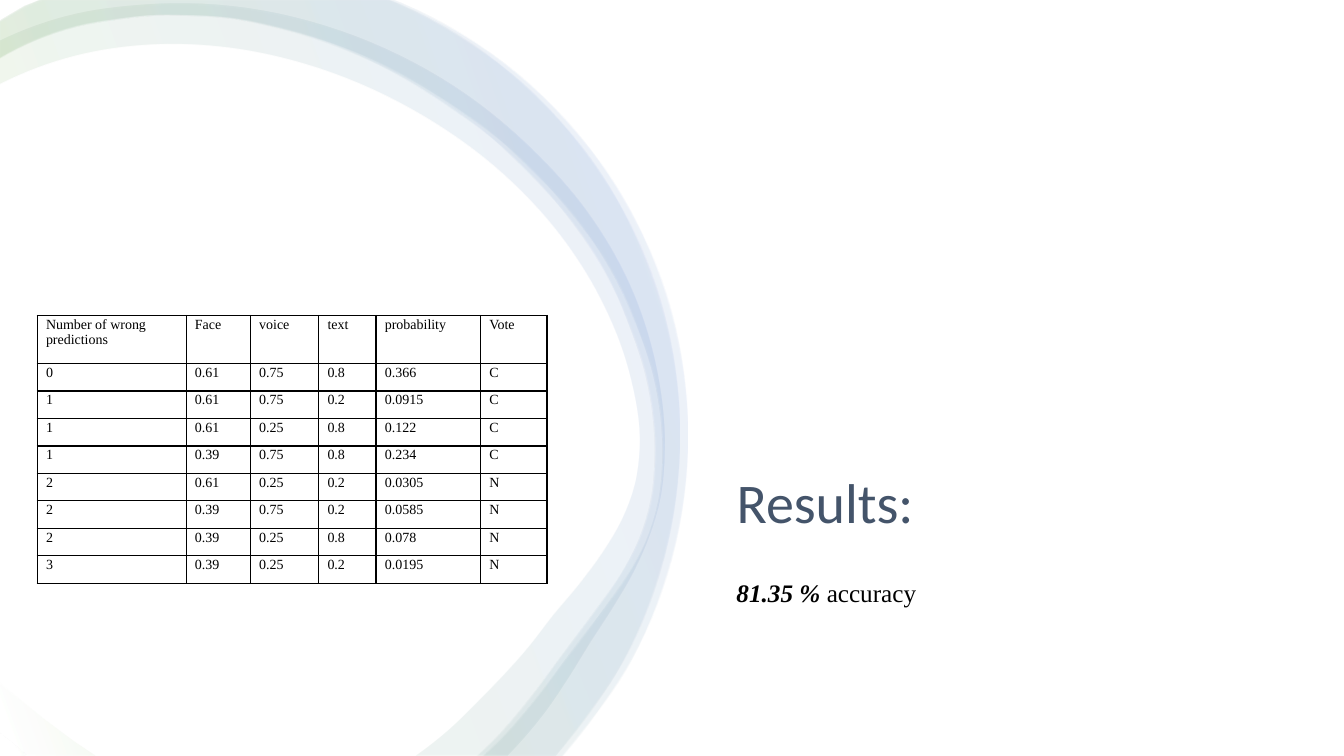
from dataclasses import dataclass, replace
from math import dist

from lxml.etree import Element, SubElement
from pptx import Presentation
from pptx.dml.color import RGBColor
from pptx.enum.text import MSO_ANCHOR, MSO_AUTO_SIZE, PP_ALIGN
from pptx.oxml.ns import qn
from pptx.util import Pt

BLACK = RGBColor(0x00, 0x00, 0x00)
WHITE = RGBColor(0xFF, 0xFF, 0xFF)
SLATE = RGBColor(0x44, 0x54, 0x6A)
GREEN = RGBColor(0x70, 0xAD, 0x47)
BLUE = RGBColor(0x44, 0x72, 0xC4)
SERIF = "Times New Roman"

GRADIENT_STOPS = [(2, WHITE), (16, GREEN), (85, BLUE), (100, WHITE)]
GRADIENT_OPACITY = 10

Points = list[tuple[float, float]]


@dataclass(frozen=True)
class Ribbon:
    """A ring band cut by the slide edge, with a wedge in the lower left corner."""
    wedge: Points
    inner: Points
    outer: Points
    top: Points

    def stretched(self, factor: float, rise: float) -> "Ribbon":
        def move(points: Points) -> Points:
            return [(x * factor, y - rise) for x, y in points]
        return replace(self, wedge=move(self.wedge), inner=move(self.inner),
                       outer=move(self.outer), top=move(self.top))


HALO = Ribbon(
    wedge=[(0, 487.4), (0, 539.3), (68.4, 539.3), (53.3, 529.2), (31, 512.6), (8.6, 494.6)],
    inner=[(0, 60.5), (54, 40.3), (108, 32.4), (163.4, 34.6), (217.4, 46.1), (293.4, 78.2),
           (360.7, 126), (398.9, 167), (428.4, 213.1), (448.6, 264.2), (456.5, 319.7),
           (452.9, 346.3), (443.5, 371.5), (429.8, 394.6), (413.3, 416.9), (394.6, 439.2),
           (377.3, 461.5), (339.8, 501.8), (320.4, 520.6), (296.6, 539.3)],
    outer=[(362.2, 539.3), (389.5, 507.6), (406.1, 483.1), (421.2, 458.6), (437, 434.2),
           (452.2, 408.2), (464.4, 380.2), (470.9, 357.8), (474.5, 319.7), (468, 259.9),
           (449.3, 203), (419, 151.3), (379.4, 106.6), (333.4, 68.4), (253.9, 26.5),
           (166.3, 5), (121.7, 2.9), (106.6, 3.6), (46.8, 12.2), (0, 29.5)],
    top=[],
)
RING = Ribbon(
    wedge=[(0, 523.4), (0, 540), (20.2, 540), (10.8, 532.1)],
    inner=[(0, 42.5), (55.4, 19.4), (83.5, 14.4), (112.3, 11.5), (124.6, 11.5), (169.2, 14.4),
           (196.6, 20.2), (224.6, 28.1), (251.3, 38.2), (277.2, 50.4), (326.2, 80.6),
           (344.2, 93.6), (371.5, 118.1), (410.4, 162), (427, 186.5), (440.6, 212.4),
           (448.6, 231.8), (460.8, 268.6), (467.3, 328.3), (464.4, 357.8), (455.8, 385.9),
           (442.1, 411.8), (424.8, 436.3), (397.4, 473), (380.9, 495.4), (350.6, 530.6),
           (340.6, 540)],
    outer=[(396.7, 540), (421.9, 507.7), (439.9, 481), (473.7, 399.3), (485.3, 311.8),
           (470.4, 212.1), (428.8, 124.4), (365, 53.2), (283.7, 2.9)],
    top=[(276.5, 0), (30.2, 0), (18, 5), (0, 15.8)],
)
RIBBONS = [HALO, RING, RING.stretched(1.012, 0.5)]

COLUMN_WIDTHS = [106.4, 45.9, 48.8, 41, 74.6, 47.5]
HEADER_HEIGHT, ROW_HEIGHT = 34.3, 19.63
PREDICTIONS = [
    ("Number of wrong predictions", "Face", "voice", "text", "probability", "Vote"),
    ("0", "0.61", "0.75", "0.8", "0.366", "C"),
    ("1", "0.61", "0.75", "0.2", "0.0915", "C"),
    ("1", "0.61", "0.25", "0.8", "0.122", "C"),
    ("1", "0.39", "0.75", "0.8", "0.234", "C"),
    ("2", "0.61", "0.25", "0.2", "0.0305", "N"),
    ("2", "0.39", "0.75", "0.2", "0.0585", "N"),
    ("2", "0.39", "0.25", "0.8", "0.078", "N"),
    ("3", "0.39", "0.25", "0.2", "0.0195", "N"),
]


def add_text(paragraph, text: str, *, size: float, font: str = SERIF,
             color: RGBColor = BLACK, bold: bool = False, italic: bool = False) -> None:
    run = paragraph.add_run()
    run.text = text
    run.font.name = font
    run.font.size = Pt(size)
    run.font.color.rgb = color
    run.font.bold = bold
    run.font.italic = italic


def curve_segments(points: Points) -> list[Points]:
    """Return two control points and an end point for each step of a smooth curve."""
    steps = list(zip(points, points[1:]))
    lengths = [dist(start, end) for start, end in steps]
    slopes = [((end[0] - start[0]) / length, (end[1] - start[1]) / length)
              for (start, end), length in zip(steps, lengths)]
    tangents = [
        tuple((after * u + before * v) / (before + after) for u, v in zip(slope, following))
        for slope, following, before, after in zip(slopes, slopes[1:], lengths, lengths[1:])
    ]
    first = tuple(2 * u - v for u, v in zip(slopes[0], tangents[0]))
    last = tuple(2 * u - v for u, v in zip(slopes[-1], tangents[-1]))
    tangents = [first, *tangents, last]
    segments = []
    for (start, end), length, leaving, arriving in zip(steps, lengths, tangents, tangents[1:]):
        reach = length / 3
        segments.append([
            (start[0] + leaving[0] * reach, start[1] + leaving[1] * reach),
            (end[0] - arriving[0] * reach, end[1] - arriving[1] * reach),
            end,
        ])
    return segments


def bend(shape, lines: list, points: Points) -> None:
    """Turn the straight lines between the points into curves."""
    for line, segment in zip(lines, curve_segments(points)):
        curve = Element(qn("a:cubicBezTo"))
        for x, y in segment:
            SubElement(curve, qn("a:pt"), x=str(Pt(x) - shape.left), y=str(Pt(y) - shape.top))
        line.getparent().replace(line, curve)


def apply_gradient(shape) -> None:
    shape.fill.gradient()
    shape.fill.gradient_angle = 20
    stops = shape._element.spPr.find(qn("a:gradFill")).find(qn("a:gsLst"))
    for stop in list(stops):
        stops.remove(stop)
    for position, color in GRADIENT_STOPS:
        stop = SubElement(stops, qn("a:gs"), pos=str(position * 1000))
        tint = SubElement(stop, qn("a:srgbClr"), val=str(color))
        SubElement(tint, qn("a:alpha"), val=str(GRADIENT_OPACITY * 1000))


def add_ribbon(slide, ribbon: Ribbon) -> None:
    band = ribbon.inner + ribbon.outer + ribbon.top
    wedge, band = ([(Pt(x), Pt(y)) for x, y in outline] for outline in (ribbon.wedge, band))
    builder = slide.shapes.build_freeform(*wedge[0])
    builder.add_line_segments(wedge[1:], close=True)
    builder.move_to(*band[0])
    builder.add_line_segments(band[1:], close=True)
    shape = builder.convert_to_shape()
    lines = list(shape._element.iter(qn("a:lnTo")))[len(wedge) - 1:]
    bend(shape, lines, ribbon.inner)
    bend(shape, lines[len(ribbon.inner):], ribbon.outer)
    shape.shadow.inherit = False
    shape.line.fill.background()
    apply_gradient(shape)


def format_cell(cell, text: str) -> None:
    cell.margin_left = cell.margin_right = Pt(6.3)
    cell.margin_top, cell.margin_bottom = Pt(0.9), Pt(0)
    cell.vertical_anchor = MSO_ANCHOR.TOP
    add_text(cell.text_frame.paragraphs[0], text, size=10)
    properties = cell._tc.get_or_add_tcPr()
    for side in ("lnL", "lnR", "lnT", "lnB"):
        border = SubElement(properties, qn(f"a:{side}"), w=str(Pt(1)))
        fill = SubElement(border, qn("a:solidFill"))
        SubElement(fill, qn("a:srgbClr"), val=str(BLACK))
    cell.fill.background()


def add_predictions_table(slide) -> None:
    heights = [HEADER_HEIGHT] + [ROW_HEIGHT] * (len(PREDICTIONS) - 1)
    table = slide.shapes.add_table(len(heights), len(COLUMN_WIDTHS), Pt(26.6), Pt(225.4),
                                   Pt(sum(COLUMN_WIDTHS)), Pt(sum(heights))).table
    table.first_row = table.horz_banding = False
    for column, width in zip(table.columns, COLUMN_WIDTHS):
        column.width = Pt(width)
    for row, height, values in zip(table.rows, heights, PREDICTIONS):
        row.height = Pt(height)
        for cell, value in zip(row.cells, values):
            format_cell(cell, value)


def set_title(slide) -> None:
    title = slide.shapes.title
    title.left, title.top, title.width, title.height = Pt(519), Pt(335.6), Pt(378.7), Pt(102.2)
    frame = title.text_frame
    frame.vertical_anchor = MSO_ANCHOR.TOP
    frame.auto_size = MSO_AUTO_SIZE.NONE
    paragraph = frame.paragraphs[0]
    paragraph.alignment = PP_ALIGN.LEFT
    paragraph.line_spacing = 0.9
    add_text(paragraph, "Results:", size=40, font="Calibri", color=SLATE)


def add_accuracy(slide) -> None:
    frame = slide.shapes.add_textbox(Pt(519), Pt(409), Pt(148.3), Pt(29)).text_frame
    frame.word_wrap = False
    frame.auto_size = MSO_AUTO_SIZE.SHAPE_TO_FIT_TEXT
    paragraph = frame.paragraphs[0]
    add_text(paragraph, "81.35 % ", size=18, bold=True, italic=True)
    add_text(paragraph, "accuracy", size=18)


def main() -> None:
    presentation = Presentation()
    presentation.slide_width, presentation.slide_height = Pt(960), Pt(540)
    slide = presentation.slides.add_slide(presentation.slide_layouts.get_by_name("Title Only"))
    set_title(slide)
    for ribbon in RIBBONS:
        add_ribbon(slide, ribbon)
    add_predictions_table(slide)
    add_accuracy(slide)
    presentation.save("out.pptx")


if __name__ == "__main__":
    main()
